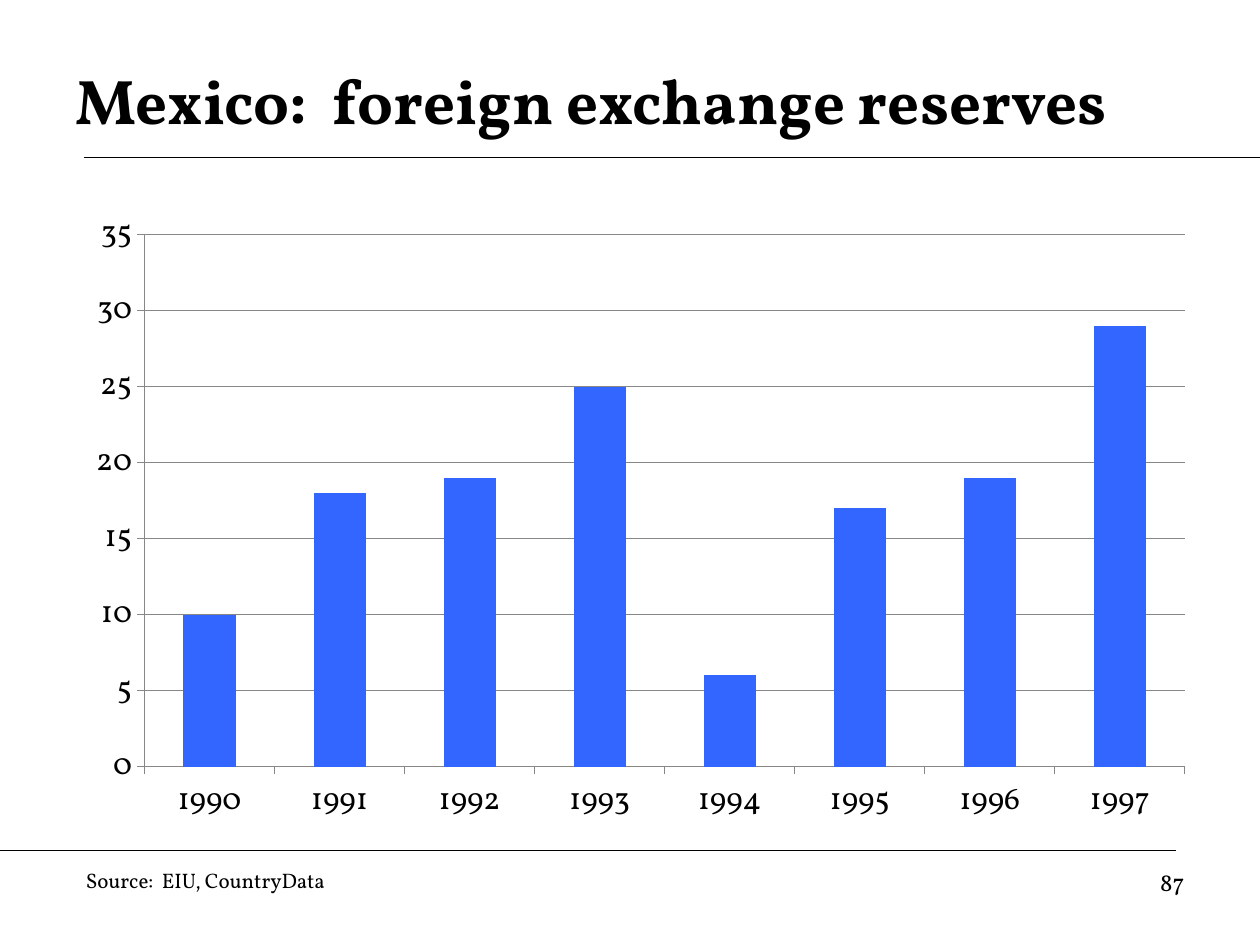
"""Build the slide on Mexican foreign exchange reserves."""
from dataclasses import dataclass
from lxml.etree import SubElement
from pptx import Presentation
from pptx.chart.data import CategoryChartData as Data
from pptx.dml.color import RGBColor as Rgb
from pptx.enum.chart import XL_CHART_TYPE as Kind, XL_TICK_MARK as Tick
from pptx.enum.text import MSO_ANCHOR as Anchor, PP_ALIGN as Align
from pptx.oxml.ns import qn
from pptx.util import Pt


@dataclass(frozen=True)
class Theme:
    """Hold the colours, font and type sizes."""
    face: str = "Vollkorn"
    ink: Rgb = Rgb(0, 0, 0)
    grid: Rgb = Rgb(0x87, 0x87, 0x87)
    bar: Rgb = Rgb(0x33, 0x66, 0xFF)
    head: int = 36
    axis: int = 18
    page: int = 14
    note: int = 12


def style(font, theme, size, bold=False):
    """Set face, size, weight and colour of a font."""
    font.name, font.size, font.bold = theme.face, Pt(size), bold
    font.color.rgb = theme.ink


def write(frame, text, theme, size, bold=False, align=Align.LEFT, anchor=Anchor.TOP):
    """Put formatted text in a frame."""
    frame.word_wrap = True
    frame.vertical_anchor = anchor
    para = frame.paragraphs[0]
    para.alignment = align
    run = para.add_run()
    run.text = text
    style(run.font, theme, size, bold)


class Deck:
    """Hold the theme and the current slide."""

    def __init__(self, theme):
        """Start a deck with one titled slide."""
        self.theme = theme
        self.file = Presentation()
        self.file.slide_width, self.file.slide_height = Pt(720), Pt(540)
        self.slide = self.file.slides.add_slide(self.file.slide_layouts[5])

    def title(self, text, *box):
        """Place and fill the title."""
        shape = self.slide.shapes.title
        shape.left, shape.top, shape.width, shape.height = map(Pt, box)
        write(shape.text_frame, text, self.theme, self.theme.head,
              bold=True, anchor=Anchor.MIDDLE)

    def text(self, text, *box, **form):
        """Add a text box."""
        shape = self.slide.shapes.add_textbox(*map(Pt, box))
        write(shape.text_frame, text, self.theme, **form)

    def rule(self, left, right, top):
        """Add a level line."""
        line = self.slide.shapes.add_connector(1, Pt(left), Pt(top), Pt(right), Pt(top))
        line.line.color.rgb, line.line.width = self.theme.ink, Pt(0.75)
        SubElement(line._element.spPr, qn("a:effectLst"))

    def chart(self, name, cats, vals, *box):
        """Add a column chart."""
        data = Data()
        data.categories = cats
        data.add_series(name, vals)
        chart = self.slide.shapes.add_chart(
            Kind.COLUMN_CLUSTERED, *map(Pt, box), data).chart
        chart.has_legend = chart.has_title = False
        style(chart.font, self.theme, self.theme.axis)
        plot = chart.plots[0]
        plot.gap_width, plot.vary_by_categories = 150, False
        fill = plot.series[0].format.fill
        fill.solid()
        fill.fore_color.rgb = self.theme.bar
        side = chart.value_axis
        side.minimum_scale, side.maximum_scale, side.major_unit = 0, 35, 5
        side.has_major_gridlines = True
        for axis in (chart.category_axis, side):
            axis.major_tick_mark = Tick.OUTSIDE
        for part in (chart.category_axis, side, side.major_gridlines):
            part.format.line.color.rgb = self.theme.grid
            part.format.line.width = Pt(0.75)


def main():
    """Build and save the slide."""
    theme = Theme()
    deck = Deck(theme)
    deck.rule(48, 720, 90)
    deck.rule(0, 672, 486)
    deck.title("Mexico:  foreign exchange reserves", 36, 24, 648, 66)
    deck.text("87", 516, 492, 168, 37.5, size=theme.page, align=Align.RIGHT)
    deck.text("Source:  EIU, CountryData", 42, 492, 348, 21.6, size=theme.note)
    years = [str(year) for year in range(1990, 1998)]
    funds = [10, 18, 19, 25, 6, 17, 19, 29]
    deck.chart("Series 1", years, funds, 42, 114, 648, 364)
    deck.file.save("out.pptx")


if __name__ == "__main__":
    main()
